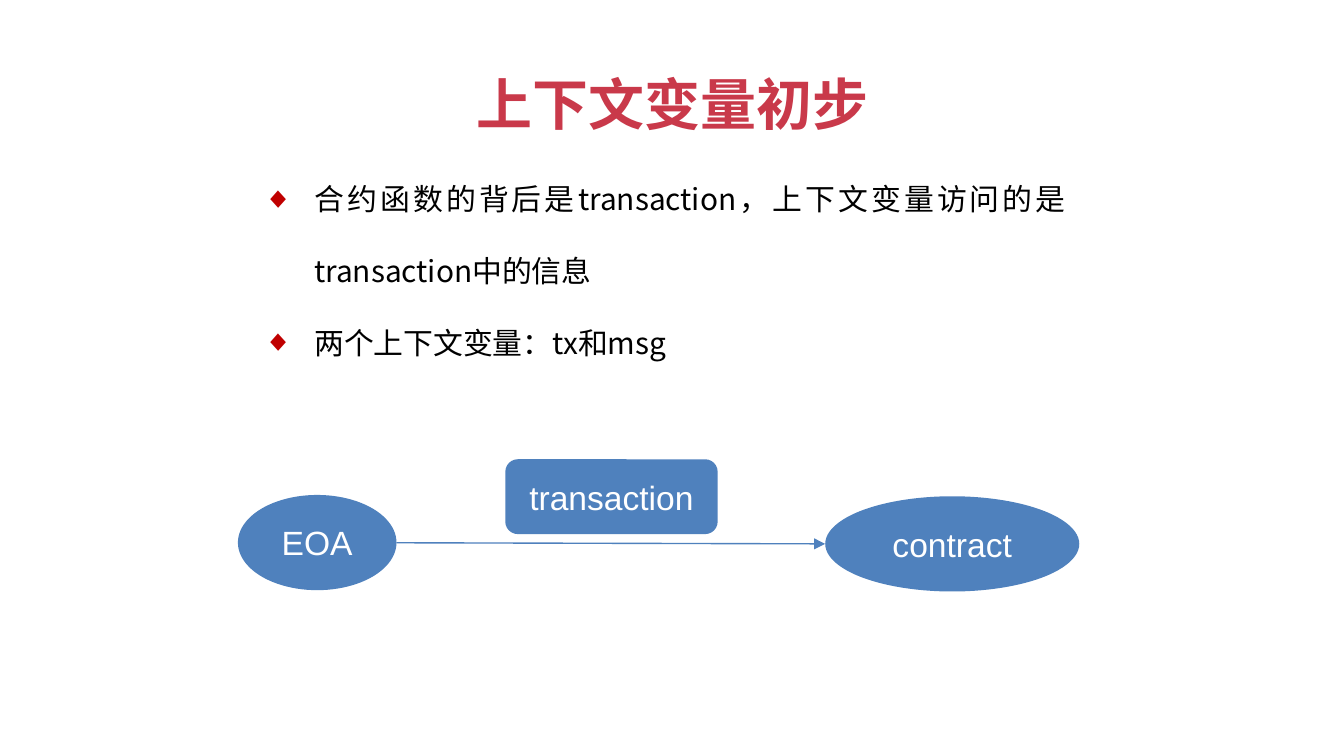
from lxml.etree import SubElement
from pptx import Presentation
from pptx.dml.color import RGBColor
from pptx.enum.shapes import MSO_CONNECTOR, MSO_SHAPE
from pptx.enum.text import MSO_ANCHOR, MSO_AUTO_SIZE, PP_ALIGN
from pptx.oxml.ns import qn
from pptx.util import Inches, Pt

HUE = {"title": "C9394A", "mark": "C00000", "text": "000000",
       "node": "4F81BD", "label": "FFFFFF"}
HAN = "Noto Sans CJK SC"

# Slide in 16:9
deck = Presentation()
deck.slide_width = Inches(10)
deck.slide_height = Inches(10) * 9 // 16
slide = deck.slides.add_slide(deck.slide_layouts[6])
shapes = slide.shapes

# Grid of 100 columns and 100 rows
COL, ROW = deck.slide_width / 100, deck.slide_height / 100


def place(x, y, w, h):
    return [round(n) for n in (x * COL, y * ROW, w * COL, h * ROW)]


def style(para, face, size, hue, align, bold=False):
    para.alignment = align
    font = para.font
    font.name, font.size, font.bold = face, Pt(size), bold
    font.color.rgb = RGBColor.from_string(HUE[hue])
    base = para._p.pPr.find(qn("a:defRPr"))
    SubElement(base, qn("a:ea")).set("typeface", face)


# Title
frame = shapes.add_textbox(*place(34.3, 8.36, 31.5, 10.84)).text_frame
frame.word_wrap = False
frame.auto_size = MSO_AUTO_SIZE.SHAPE_TO_FIT_TEXT
frame.text = "上下文变量初步"
style(frame.paragraphs[0], HAN, 30, "title", PP_ALIGN.CENTER, True)

# Bullets
frame = shapes.add_textbox(*place(15.7, 28.44, 64.6, 9.96)).text_frame
frame.word_wrap = True
frame.vertical_anchor = MSO_ANCHOR.MIDDLE
frame.text = ("合约函数的背后是transaction，上下文变量访问的是transaction中的信息\n"
              "两个上下文变量：tx和msg")
for para in frame.paragraphs:
    para.line_spacing = 2.0
    props = para._p.get_or_add_pPr()
    props.set("marL", str(Inches(0.67)))
    props.set("indent", str(Inches(-0.38)))
    tint = SubElement(props, qn("a:buClr"))
    SubElement(tint, qn("a:srgbClr")).set("val", HUE["mark"])
    SubElement(props, qn("a:buFont")).set("typeface", "Arial")
    SubElement(props, qn("a:buChar")).set("char", "◆")
    style(para, HAN, 16, "text", PP_ALIGN.JUSTIFY)

# Nodes: kind, label, left, top, width, height
nodes = [
    (MSO_SHAPE.ROUNDED_RECTANGLE, "transaction", 37.6, 60.76, 15.8, 9.9),
    (MSO_SHAPE.OVAL, "EOA", 17.7, 65.48, 11.8, 12.6),
    (MSO_SHAPE.OVAL, "contract", 61.4, 65.65, 18.9, 12.6),
]
for kind, label, *box in nodes:
    node = shapes.add_shape(kind, *place(*box))
    node.shadow.inherit = False
    node.fill.solid()
    node.fill.fore_color.rgb = RGBColor.from_string(HUE["node"])
    node.line.fill.background()
    node.text_frame.text = label
    node.text_frame.vertical_anchor = MSO_ANCHOR.MIDDLE
    style(node.text_frame.paragraphs[0], "Arial", 18, "label", PP_ALIGN.CENTER)

# Arrow from EOA to contract
ends = place(29.5, 71.8, 61.4, 71.95)
arrow = shapes.add_connector(MSO_CONNECTOR.STRAIGHT, *ends)
arrow.line.color.rgb = RGBColor.from_string(HUE["node"])
arrow.line.width = Pt(0.75)
edge = arrow._element.spPr.find(qn("a:ln"))
SubElement(edge, qn("a:tailEnd")).set("type", "triangle")
SubElement(arrow._element.spPr, qn("a:effectLst"))

deck.save("out.pptx")
